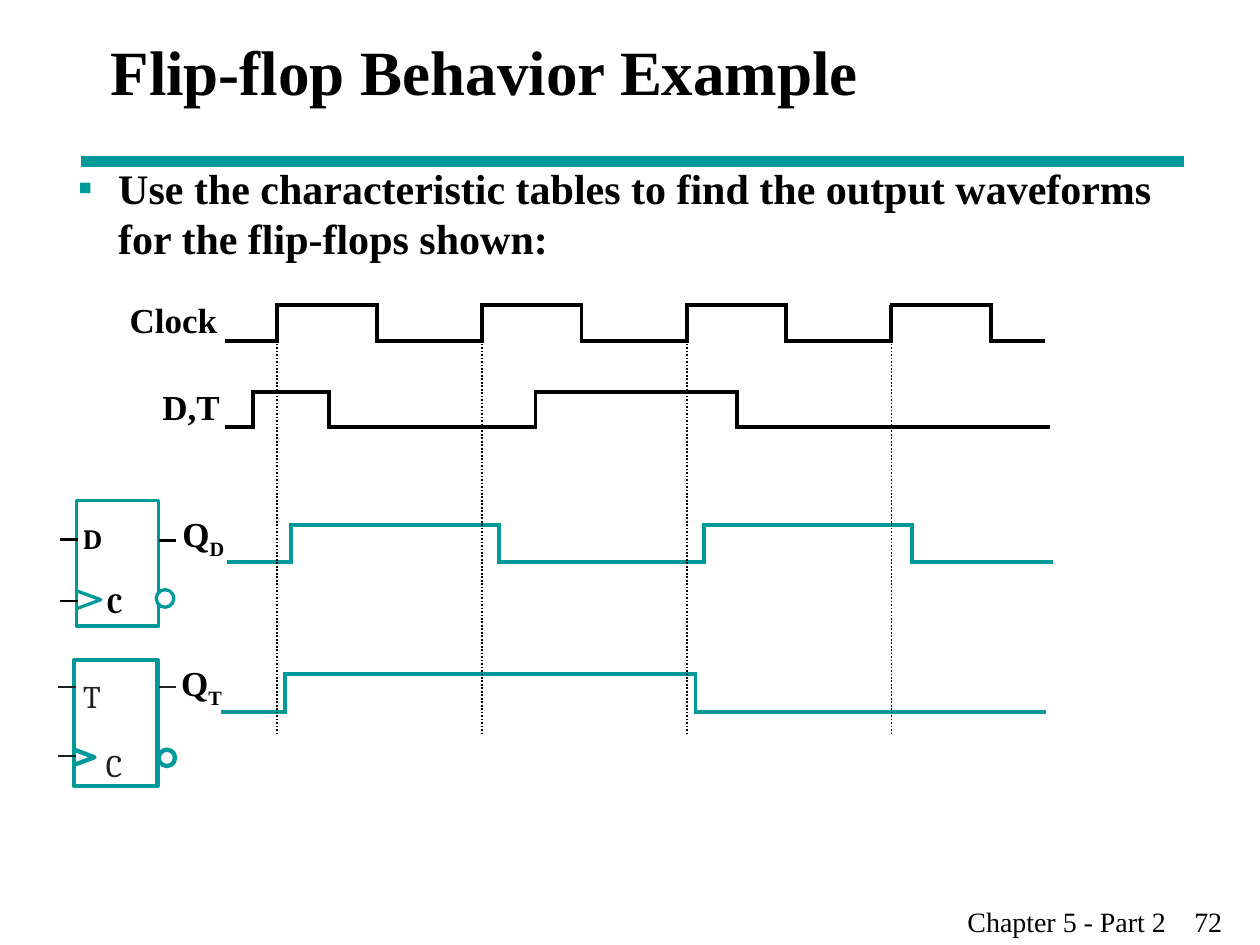
import itertools

import lxml.etree
import pptx
import pptx.dml.color
import pptx.enum.dml
import pptx.enum.shapes
import pptx.enum.text
import pptx.oxml.ns
import pptx.util

Inches = pptx.util.Inches
Pt = pptx.util.Pt
qn = pptx.oxml.ns.qn

BLACK = "000000"
INK = "231F20"
TEAL = "009999"
WHITE = "FFFFFF"


def color(hex_value):
    return pptx.dml.color.RGBColor.from_string(hex_value)


def add_element(parent, tag, **attributes):
    return lxml.etree.SubElement(parent, qn(tag), attributes)


class SlideBuilder:
    font = "Times New Roman"
    pin_font = "Cambria"
    wave_width = 2.25
    overlap = 0.015

    def __init__(self, slide):
        self.slide = slide

    def text(self, text, box, size, bold=True, hex_value=BLACK, font=None,
             subscript=None, inset=True, wrap=True, middle=False,
             bullet=None, tab=None):
        shape = self.slide.shapes.add_textbox(*map(Inches, box))
        frame = shape.text_frame
        frame.word_wrap = wrap
        if not inset:
            frame.margin_left = frame.margin_right = 0
            frame.margin_top = frame.margin_bottom = 0
        if middle:
            frame.vertical_anchor = pptx.enum.text.MSO_ANCHOR.MIDDLE
        frame.text = text
        paragraph = frame.paragraphs[0]
        if subscript:
            run = paragraph.add_run()
            run.text = subscript
            run._r.get_or_add_rPr().set("baseline", "-25000")
        properties = paragraph._p.get_or_add_pPr()
        if bullet:
            properties.set("marL", str(Inches(0.32)))
            properties.set("indent", str(Inches(-0.32)))
            bullet_color = add_element(properties, "a:buClr")
            add_element(bullet_color, "a:srgbClr", val=TEAL)
            add_element(properties, "a:buFont", typeface=self.font)
            add_element(properties, "a:buChar", char=bullet)
        if tab:
            tabs = add_element(properties, "a:tabLst")
            add_element(tabs, "a:tab", pos=str(Inches(tab)), algn="l")
        for run in paragraph.runs:
            run.font.name = font or self.font
            run.font.size = Pt(size)
            run.font.bold = bold
            run.font.color.rgb = color(hex_value)

    def line(self, start, end, hex_value, width, dotted=False):
        connector = self.slide.shapes.add_connector(
            pptx.enum.shapes.MSO_CONNECTOR.STRAIGHT,
            *map(Inches, (*start, *end)))
        connector.line.color.rgb = color(hex_value)
        connector.line.width = Pt(width)
        if dotted:
            connector.line.dash_style = pptx.enum.dml.MSO_LINE.ROUND_DOT
        add_element(connector._element.spPr, "a:effectLst")

    def wave(self, start, end, levels, pulses, hex_value):
        low, high = levels
        edges = [start, *itertools.chain.from_iterable(pulses), end]
        for index, (left, right) in enumerate(itertools.pairwise(edges)):
            level = high if index % 2 else low
            self.line((left - self.overlap, level),
                      (right + self.overlap, level),
                      hex_value, self.wave_width)
        for edge in edges[1:-1]:
            self.line((edge, low), (edge, high), hex_value, self.wave_width)

    def outline(self, shape, width, fill=None):
        shape.shadow.inherit = False
        if fill:
            shape.fill.solid()
            shape.fill.fore_color.rgb = color(fill)
        else:
            shape.fill.background()
        shape.line.color.rgb = color(TEAL)
        shape.line.width = Pt(width)

    def preset(self, kind, box, width, fill):
        shape = self.slide.shapes.add_shape(kind, *map(Inches, box))
        self.outline(shape, width, fill)

    def chevron(self, left, top, width, height, line_width):
        points = [(left + width, top + height / 2), (left, top + height)]
        builder = self.slide.shapes.build_freeform(Inches(left), Inches(top))
        builder.add_line_segments(
            [(Inches(x), Inches(y)) for x, y in points], close=False)
        self.outline(builder.convert_to_shape(), line_width)

    def flip_flop(self, body, bubble, clock, line_width, fill, pins, pin_color,
                  pin_width, labels, label_size, bold):
        kinds = pptx.enum.shapes.MSO_SHAPE
        self.preset(kinds.RECTANGLE, body, line_width, fill)
        self.preset(kinds.OVAL, bubble, line_width, fill)
        self.chevron(*clock, line_width)
        for left, y in pins:
            self.line((left, y), (left + 0.14, y), pin_color, pin_width)
        for text, box in labels:
            self.text(text, box, label_size, bold, pin_color, self.pin_font,
                      inset=False, wrap=False)


def main():
    presentation = pptx.Presentation()
    presentation.slide_width = Inches(10)
    presentation.slide_height = Inches(7.5)
    slide = presentation.slides.add_slide(presentation.slide_layouts[6])
    builder = SlideBuilder(slide)

    builder.line((0.64, 1.28), (9.4, 1.28), TEAL, 6)
    builder.text("Chapter 5 - Part 2\t72", (7.58, 7.13, 2.42, 0.37), 16,
                 bold=False, tab=1.8)
    builder.text("Flip-flop Behavior Example", (0.78, 0, 8.5, 1.12), 36,
                 middle=True)
    builder.text("Use the characteristic tables to find the output waveforms "
                 "for the flip-flops shown:", (0.52, 1.24, 8.86, 5.5), 24,
                 bullet="▪")

    rising_edges = [2.2 + 1.625 * cycle for cycle in range(4)]
    clock_pulses = [(edge, edge + 0.79) for edge in rising_edges]
    builder.wave(1.8, 8.28, (2.71, 2.42), clock_pulses, BLACK)
    builder.wave(1.8, 8.32, (3.39, 3.11), [(2.01, 2.61), (4.25, 5.85)], BLACK)
    builder.wave(1.82, 8.34, (4.46, 4.17), [(2.31, 3.96), (5.59, 7.24)], TEAL)
    builder.wave(1.77, 8.29, (5.65, 5.35), [(2.26, 5.52)], TEAL)

    builder.text("Clock", (0.93, 2.32, 0.91, 0.44), 20)
    builder.text("D,T", (1.19, 3.01, 0.68, 0.44), 20)
    builder.text("Q", (1.35, 4.02, 0.73, 0.48), 20, subscript="D")
    builder.text("Q", (1.34, 5.2, 0.73, 0.48), 20, subscript="T")

    builder.flip_flop(
        body=(0.61, 3.97, 0.65, 1), bubble=(1.24, 4.68, 0.14, 0.14),
        clock=(0.61, 4.69, 0.19, 0.14), line_width=1.87, fill=WHITE,
        pins=[(0.48, 4.28), (0.48, 4.77), (1.26, 4.29)],
        pin_color=BLACK, pin_width=1.5,
        labels=[("D", (0.66, 4.14, 0.17, 0.27)),
                ("C", (0.85, 4.65, 0.15, 0.27))],
        label_size=16, bold=True)
    builder.flip_flop(
        body=(0.59, 5.24, 0.66, 1), bubble=(1.26, 5.95, 0.13, 0.13),
        clock=(0.59, 5.95, 0.16, 0.12), line_width=2.5, fill=None,
        pins=[(0.46, 5.45), (0.46, 6), (1.26, 5.45)],
        pin_color=INK, pin_width=1.25,
        labels=[("T", (0.66, 5.37, 0.15, 0.3)),
                ("C", (0.84, 5.92, 0.15, 0.3))],
        label_size=18, bold=False)

    for edge in rising_edges:
        builder.line((edge, 2.7), (edge, 5.82), BLACK, 1, dotted=True)

    presentation.save("out.pptx")


if __name__ == "__main__":
    main()
